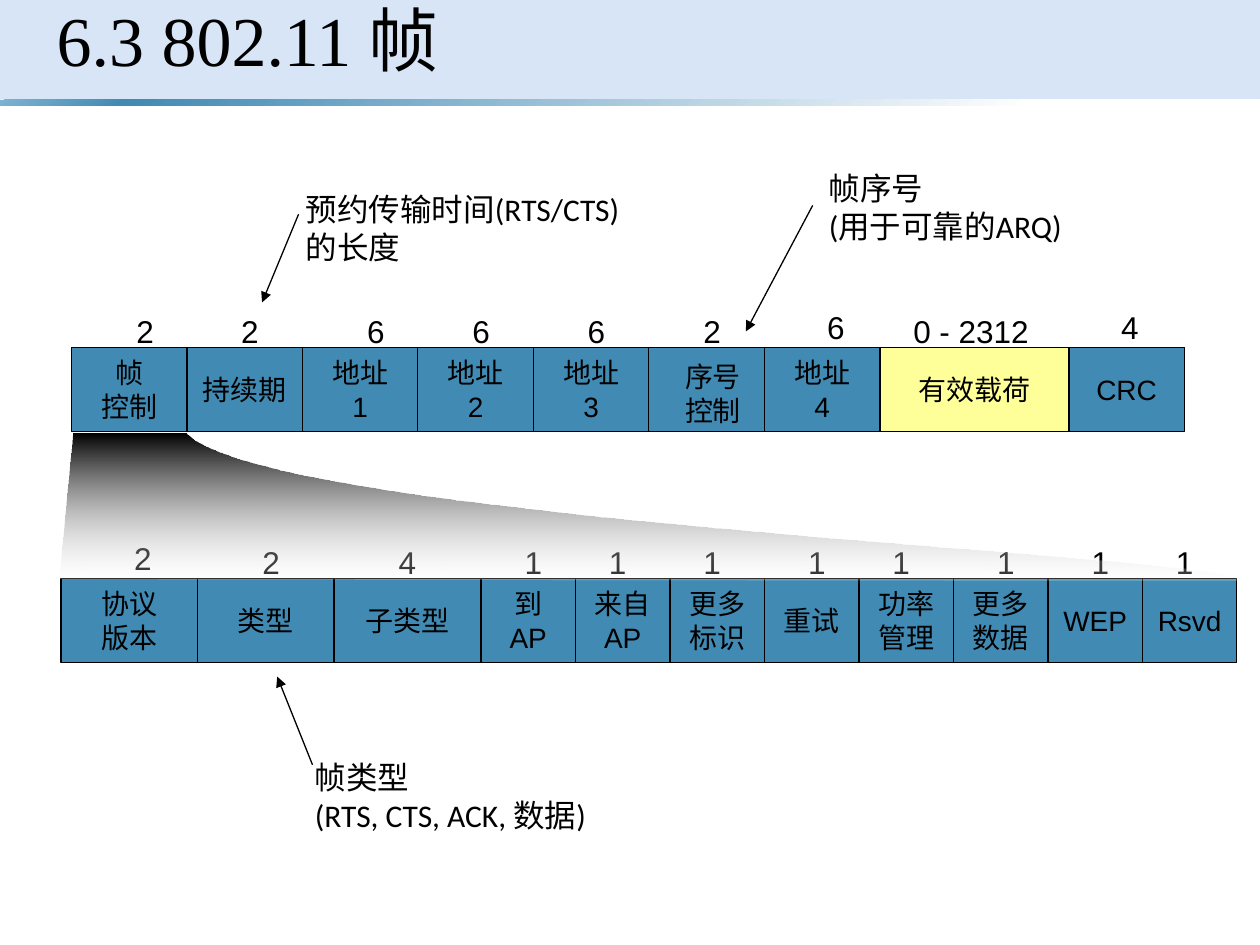
import lxml.etree
import pptx
import pptx.dml.color
import pptx.enum.shapes
import pptx.enum.text
import pptx.oxml
import pptx.oxml.ns
import pptx.util

BLUE, YELLOW, BLACK, WHITE = "418AB3", "FFFF99", "000000", "FFFFFF"
ALIGN = pptx.enum.text.PP_ALIGN
RECTANGLE = pptx.enum.shapes.MSO_SHAPE.RECTANGLE

deck = pptx.Presentation()
deck.slide_width = pptx.util.Inches(10)
deck.slide_height = pptx.util.Inches(7.5)
page = deck.slides.add_slide(deck.slide_layouts[5])
unit = deck.slide_width / 120  # grid column and row: 1/12 inch


def paint(shape, stops, angle=0, outlined=False):
    """Fill with (position %, hex colour, opacity %) stops; one stop is a solid fill."""
    shape.shadow.inherit = False
    colours = [
        f'<a:srgbClr val="{colour}"><a:alpha val="{opacity * 1000}"/></a:srgbClr>'
        for _, colour, opacity in stops
    ]
    namespace = pptx.oxml.ns.nsdecls("a")
    if len(stops) == 1:
        xml = f"<a:solidFill {namespace}>{colours[0]}</a:solidFill>"
    else:
        marks = "".join(
            f'<a:gs pos="{stop[0] * 1000}">{colour}</a:gs>'
            for stop, colour in zip(stops, colours)
        )
        xml = (f'<a:gradFill {namespace} rotWithShape="1"><a:gsLst>{marks}</a:gsLst>'
               f'<a:lin ang="{angle * 60000}" scaled="0"/></a:gradFill>')
    shape.fill.background()
    old_fill = shape.element.spPr.find(pptx.oxml.ns.qn("a:noFill"))
    old_fill.getparent().replace(old_fill, pptx.oxml.parse_xml(xml))
    if outlined:
        shape.line.color.rgb = pptx.dml.color.RGBColor.from_string(BLACK)
        shape.line.width = pptx.util.Pt(0.75)
    else:
        shape.line.fill.background()


def write(shape, text, size, font="Arial", align=ALIGN.LEFT, wrap=False):
    frame = shape.text_frame
    frame.text = text
    frame.word_wrap = wrap
    for para in frame.paragraphs:
        para.alignment = align
        para.font.name = font
        para.font.size = pptx.util.Pt(size)
        para.font.color.rgb = pptx.dml.color.RGBColor.from_string(BLACK)


# Header bands
header = page.shapes.add_shape(RECTANGLE, 0, 0, deck.slide_width, pptx.util.Inches(0.79))
paint(header, [(0, "C8DAF4", 70)])
stripe = page.shapes.add_shape(
    RECTANGLE, 0, pptx.util.Inches(0.79), deck.slide_width, pptx.util.Inches(0.05))
paint(stripe, [(0, "7EB3D0", 100), (10, BLUE, 100), (82, WHITE, 100), (96, WHITE, 100)], 45)

# Title, brought in front of the bands
title = page.shapes.title
title.left, title.top = pptx.util.Inches(0.35), 0
title.width, title.height = pptx.util.Inches(9.3), pptx.util.Inches(0.81)
write(title, "6.3 802.11 帧", 40, "Times New Roman", wrap=True)
title.text_frame.vertical_anchor = pptx.enum.text.MSO_ANCHOR.TOP
title.text_frame.paragraphs[0].line_spacing = 0.9
title.element.getparent().append(title.element)

# Field rows: (name, width, length, column of the length, lift of the length)
frame_fields = [
    ("帧\n控制", 11, "2", 11.8, 0), ("持续期", 11, "2", 21.8, 0),
    ("地址\n1", 11, "6", 33.8, 0), ("地址\n2", 11, "6", 43.8, 0),
    ("地址\n3", 11, "6", 54.8, 0), ("", 11, "2", 65.8, 0),
    ("地址\n4", 11, "6", 77.6, 0.4), ("有效载荷", 18, "0 - 2312", 85.8, 0),
    ("CRC", 11, "4", 105.6, 0.4),
]
control_fields = [
    ("协议\n版本", 13, "2", 11.6, 0.4), ("类型", 13, "2", 23.8, 0),
    ("子类型", 14, "4", 36.8, 0), ("到\nAP", 9, "1", 48.8, 0),
    ("来自\nAP", 9, "1", 56.8, 0), ("更多\n标识", 9, "1", 65.8, 0),
    ("重试", 9, "1", 75.8, 0), ("功率\n管理", 9, "1", 83.8, 0),
    ("更多\n数据", 9, "1", 93.8, 0), ("WEP", 9, "1", 102.8, 0),
    ("Rsvd", 9, "1", 110.8, 0),
]
for fields, column, row in [(frame_fields, 6.8, 33.1), (control_fields, 5.8, 55.1)]:
    group = page.shapes.add_group_shape()
    for name, width, length, length_column, lift in fields:
        cell = group.shapes.add_shape(
            RECTANGLE, int(column * unit), int(row * unit), int(width * unit), int(8 * unit))
        paint(cell, [(0, YELLOW if name == "有效载荷" else BLUE, 100)], outlined=True)
        if name:
            write(cell, name, 16, align=ALIGN.CENTER)
        column += width
    for name, width, length, length_column, lift in fields:
        box = group.shapes.add_textbox(
            int(length_column * unit), int((row - 4 - lift) * unit),
            int((13.4 if len(length) > 1 else 4.1) * unit), int(4.8 * unit))
        write(box, length, 18)
    if fields is frame_fields:
        box = group.shapes.add_textbox(
            int(64 * unit), int(33.7 * unit), int(7.8 * unit), int(7.7 * unit))
        write(box, "序号\n控制", 16, align=ALIGN.CENTER)

# Fading wedge from the control field to its parts; its curves are sampled evenly
curves = [
    [(9.83, 4.61), (10, 4.41), (2.16, 4.15), (1.48, 3.44)],
    [(1.48, 3.44), (0.73, 3.44), (0.77, 3.44), (0.58, 3.44)],
]
steps = 40
points = [(0.58, 3.44), (0.47, 4.59), (9.83, 4.61)]
for curve in curves:
    for step in range(1, steps + 1):
        t = step / steps
        weights = [(1 - t) ** 3, 3 * t * (1 - t) ** 2, 3 * t ** 2 * (1 - t), t ** 3]
        points.append(tuple(
            sum(weight * point[axis] for weight, point in zip(weights, curve))
            for axis in (0, 1)))
outline = [tuple(map(pptx.util.Inches, point)) for point in points]
builder = page.shapes.build_freeform(*outline[0])
builder.add_line_segments(outline[1:], close=True)
wedge = builder.convert_to_shape()
paint(wedge, [(0, BLACK, 100), (100, WHITE, 18)], 90)

# Notes with arrows: text, box (left, top, width), arrow from, arrow to
notes = [
    ("预约传输时间(RTS/CTS)\n的长度", (2.33, 1.46, 3.01), (2.37, 1.7), (2.08, 2.4)),
    ("帧序号\n(用于可靠的ARQ)", (6.48, 1.29, 2.19), (6.45, 1.63), (5.92, 2.63)),
    ("帧类型\n(RTS, CTS, ACK, 数据)", (2.4, 5.97, 2.8), (2.48, 6.07), (2.2, 5.37)),
]
for text, place, start, end in notes:
    box = page.shapes.add_textbox(*map(pptx.util.Inches, place), pptx.util.Inches(0.7))
    write(box, text, 18, "Calibri")
    arrow = page.shapes.add_connector(
        pptx.enum.shapes.MSO_CONNECTOR.STRAIGHT, *map(pptx.util.Inches, start + end))
    arrow.line.color.rgb = pptx.dml.color.RGBColor.from_string(BLACK)
    arrow.line.width = pptx.util.Pt(0.75)
    properties = arrow.element.spPr
    line = properties.find(pptx.oxml.ns.qn("a:ln"))
    lxml.etree.SubElement(line, pptx.oxml.ns.qn("a:tailEnd"), type="triangle")
    lxml.etree.SubElement(properties, pptx.oxml.ns.qn("a:effectLst"))

deck.save("out.pptx")
